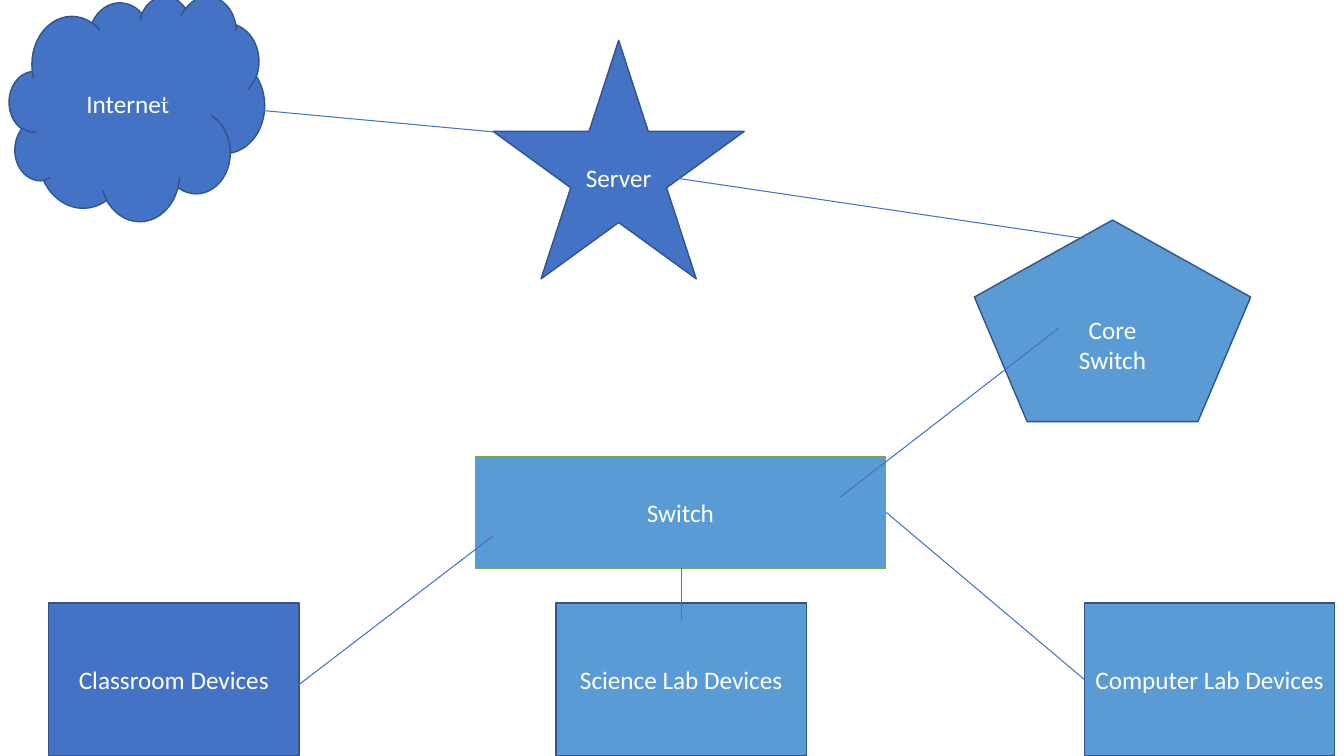
from dataclasses import dataclass

from pptx import Presentation
from pptx.dml.color import RGBColor
from pptx.enum.shapes import MSO_CONNECTOR, MSO_SHAPE
from pptx.enum.text import MSO_ANCHOR, PP_ALIGN
from pptx.oxml.ns import qn
from pptx.util import Inches, Pt
from lxml.etree import SubElement


@dataclass(frozen=True)
class Theme:
    font: str = "Calibri"
    text_size: float = 18
    outline_width: float = 1
    link_width: float = 0.75
    blue: str = "4472C4"
    light_blue: str = "5B9BD5"
    dark_blue: str = "31538F"
    green: str = "70AD47"
    white: str = "FFFFFF"


class Diagram:
    """Places nodes and links on a grid of 16 columns and 9 rows."""

    COLUMNS, ROWS = 16, 9

    def __init__(self, presentation, theme):
        self.theme = theme
        self.slide = presentation.slides.add_slide(presentation.slide_layouts[6])
        self.column = presentation.slide_width / self.COLUMNS
        self.row = presentation.slide_height / self.ROWS

    def place(self, across, down):
        return round(across * self.column), round(down * self.row)

    def node(self, kind, label, position, size, fill, outline=None):
        theme = self.theme
        shape = self.slide.shapes.add_shape(
            kind, *self.place(*position), *self.place(*size))
        shape.shadow.inherit = False
        shape.fill.solid()
        shape.fill.fore_color.rgb = RGBColor.from_string(fill)
        shape.line.color.rgb = RGBColor.from_string(outline or theme.dark_blue)
        shape.line.width = Pt(theme.outline_width)
        self.add_label(shape.text_frame, label)

    def add_label(self, frame, label):
        frame.word_wrap = True
        frame.vertical_anchor = MSO_ANCHOR.MIDDLE
        for index, text in enumerate(label.split("\n")):
            paragraph = frame.add_paragraph() if index else frame.paragraphs[0]
            paragraph.alignment = PP_ALIGN.CENTER
            run = paragraph.add_run()
            run.text = text
            run.font.name = self.theme.font
            run.font.size = Pt(self.theme.text_size)
            run.font.color.rgb = RGBColor.from_string(self.theme.white)

    def link(self, start, end):
        connector = self.slide.shapes.add_connector(
            MSO_CONNECTOR.STRAIGHT, *self.place(*start), *self.place(*end))
        connector.line.color.rgb = RGBColor.from_string(self.theme.blue)
        connector.line.width = Pt(self.theme.link_width)
        SubElement(connector._element.spPr, qn("a:effectLst"))


def main():
    presentation = Presentation()
    presentation.slide_width = Inches(13.33)
    presentation.slide_height = Inches(7.5)
    theme = Theme()
    diagram = Diagram(presentation, theme)

    # Device groups along the bottom edge
    device_groups = [
        ("Classroom Devices", 0.58, theme.blue),
        ("Science Lab Devices", 6.62, theme.light_blue),
        ("Computer Lab Devices", 12.91, theme.light_blue),
    ]
    for label, left, fill in device_groups:
        diagram.node(MSO_SHAPE.RECTANGLE, label, (left, 7.18), (2.98, 1.82), fill)

    # Network equipment, from the switch up to the internet
    diagram.node(MSO_SHAPE.RECTANGLE, "Switch", (5.66, 5.44), (4.88, 1.33),
                 theme.light_blue, theme.green)
    diagram.node(MSO_SHAPE.REGULAR_PENTAGON, "Core\nSwitch", (11.6, 2.62),
                 (3.29, 2.4), theme.light_blue)
    diagram.node(MSO_SHAPE.STAR_5_POINT, "Server", (5.87, 0.48), (2.99, 2.84),
                 theme.blue)
    diagram.node(MSO_SHAPE.CLOUD, "Internet", (0.11, -0.05), (3.04, 2.68),
                 theme.blue)

    # Links between the nodes
    links = [
        ((5.87, 6.38), (3.26, 8.38)),   # switch to classroom
        ((8.11, 6.76), (8.11, 7.38)),   # switch to science lab
        ((10.55, 6.1), (12.91, 8.09)),  # switch to computer lab
        ((12.6, 3.91), (10, 5.92)),     # core switch to switch
        ((12.91, 2.84), (7.84, 2.09)),  # core switch to server
        ((5.87, 1.57), (1.34, 1.15)),   # server to internet
    ]
    for start, end in links:
        diagram.link(start, end)

    presentation.save("out.pptx")


if __name__ == "__main__":
    main()
